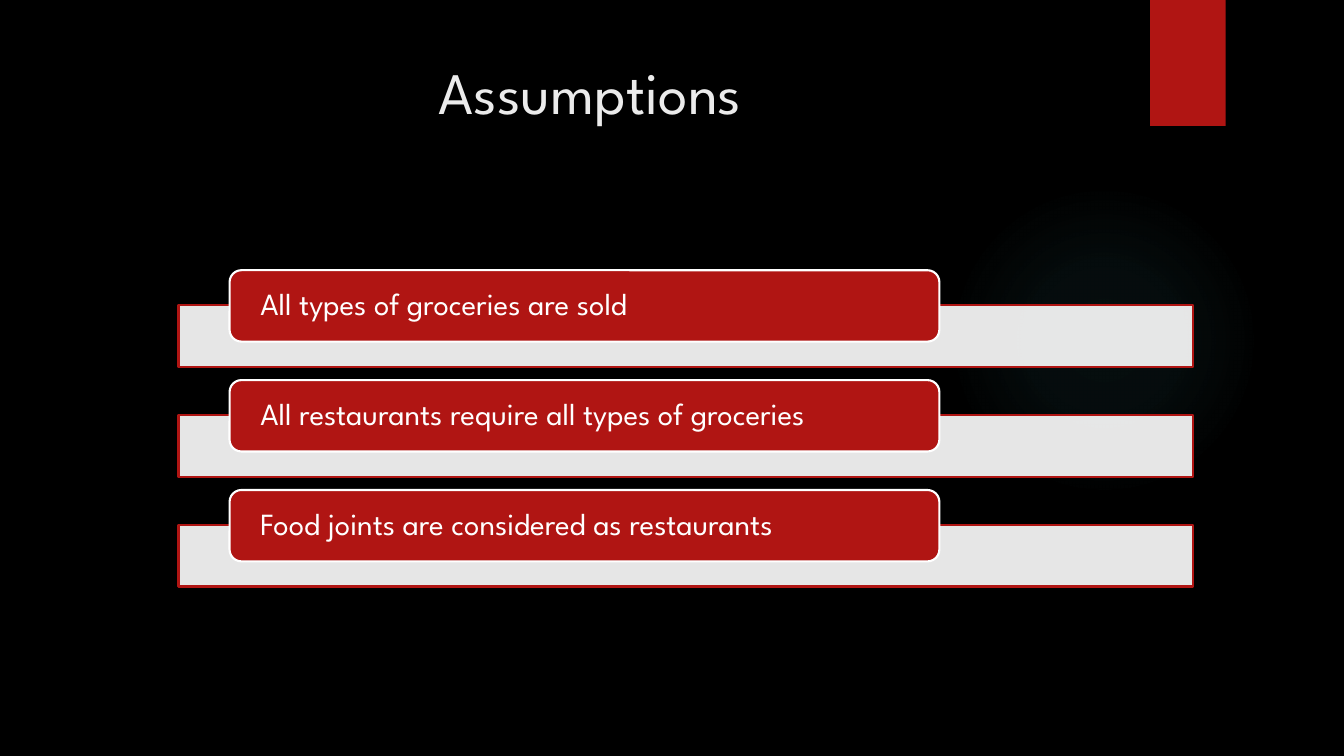
"""Build the Assumptions slide: a title over three labelled bars."""
from dataclasses import dataclass

from lxml.etree import SubElement
from pptx import Presentation
from pptx.dml.color import RGBColor
from pptx.enum.shapes import MSO_SHAPE as Geo
from pptx.enum.text import MSO_ANCHOR as Anchor, PP_ALIGN as Align
from pptx.oxml import parse_xml
from pptx.oxml.ns import nsdecls, qn
from pptx.shapes.autoshape import Shape
from pptx.slide import Slide
from pptx.text.text import TextFrame
from pptx.util import Pt

FONT = "League Spartan"
RED, WHITE, TITLE_GREY, GLOW_TEAL = "B01513", "FFFFFF", "EBEBEB", "50B9C1"
ROW_TOP, ROW_PITCH = 193, 78.5
GLOW_STOPS = ((0, 7), (36, 6), (69, 0))
ASSUMPTIONS = (
    "All types of groceries are sold",
    "All restaurants require all types of groceries",
    "Food joints are considered as restaurants",
)


@dataclass(frozen=True)
class Box:
    left: float
    top: float
    width: float
    height: float

    def down(self, dy: float) -> "Box":
        return Box(self.left, self.top + dy, self.width, self.height)

    def lengths(self) -> tuple[Pt, Pt, Pt, Pt]:
        return Pt(self.left), Pt(self.top), Pt(self.width), Pt(self.height)


@dataclass(frozen=True)
class Style:
    geo: Geo
    fill: str
    line: str | None = None
    opacity: int = 100


BAR_BOX = Box(127.5, 25, 724.5, 44)
LABEL_BOX = Box(164, 0, 507, 51)
BAR = Style(Geo.RECTANGLE, WHITE, RED, 90)
LABEL = Style(Geo.ROUNDED_RECTANGLE, RED, WHITE)
RIBBON = Style(Geo.RECTANGLE, RED)
GLOW = Style(Geo.OVAL, GLOW_TEAL)


def color(value: str) -> RGBColor:
    return RGBColor.from_string(value)


def add_box(s: Slide, box: Box, style: Style) -> Shape:
    sp = s.shapes.add_shape(style.geo, *box.lengths())
    sp.shadow.inherit = False
    sp.fill.solid()
    sp.fill.fore_color.rgb = color(style.fill)
    if style.opacity < 100:
        clr = sp.fill._xPr.find(qn("a:solidFill"))[0]
        SubElement(clr, qn("a:alpha"), val=str(style.opacity * 1000))
    if style.line:
        sp.line.color.rgb = color(style.line)
        sp.line.width = Pt(1.5)
    else:
        sp.line.fill.background()
    return sp


def add_glow(s: Slide, box: Box) -> None:
    sp = add_box(s, box, GLOW)
    stops = "".join(
        f'<a:gs pos="{pos * 1000}"><a:srgbClr val="{GLOW.fill}">'
        f'<a:alpha val="{alpha * 1000}"/></a:srgbClr></a:gs>'
        for pos, alpha in GLOW_STOPS
    )
    grad = parse_xml(
        f'<a:gradFill {nsdecls("a")}><a:gsLst>{stops}</a:gsLst><a:path path="circle">'
        '<a:fillToRect l="50000" t="50000" r="50000" b="50000"/></a:path></a:gradFill>'
    )
    solid = sp.fill._xPr.find(qn("a:solidFill"))
    solid.getparent().replace(solid, grad)


def set_text(tf: TextFrame, text: str, size: float, hex_color: str, align: Align) -> None:
    tf.word_wrap = True
    tf.text = text
    p = tf.paragraphs[0]
    p.alignment = align
    r = p.runs[0]
    r.font.name = FONT
    r.font.size = Pt(size)
    r.font.color.rgb = color(hex_color)


def add_assumption(s: Slide, text: str, top: float) -> None:
    add_box(s, BAR_BOX.down(top), BAR)
    tf = add_box(s, LABEL_BOX.down(top), LABEL).text_frame
    set_text(tf, text, 22, WHITE, Align.LEFT)
    tf.vertical_anchor = Anchor.MIDDLE
    tf.margin_left = tf.margin_right = Pt(19.5)
    tf.margin_top = tf.margin_bottom = Pt(0)
    tf.paragraphs[0].line_spacing = 0.9


def main() -> None:
    prs = Presentation()
    prs.slide_width, prs.slide_height = Pt(960), Pt(540)
    s = prs.slides.add_slide(prs.slide_layouts[6])
    s.background.fill.solid()
    s.background.fill.fore_color.rgb = color("000000")
    add_glow(s, Box(677.5, 132, 222, 222))
    add_box(s, Box(821.5, 0, 54, 90), RIBBON)
    title = s.shapes.add_textbox(*Box(51, 36, 741, 110).lengths())
    set_text(title.text_frame, "Assumptions", 42, TITLE_GREY, Align.CENTER)
    for i, text in enumerate(ASSUMPTIONS):
        add_assumption(s, text, ROW_TOP + i * ROW_PITCH)
    prs.save("out.pptx")


if __name__ == "__main__":
    main()
